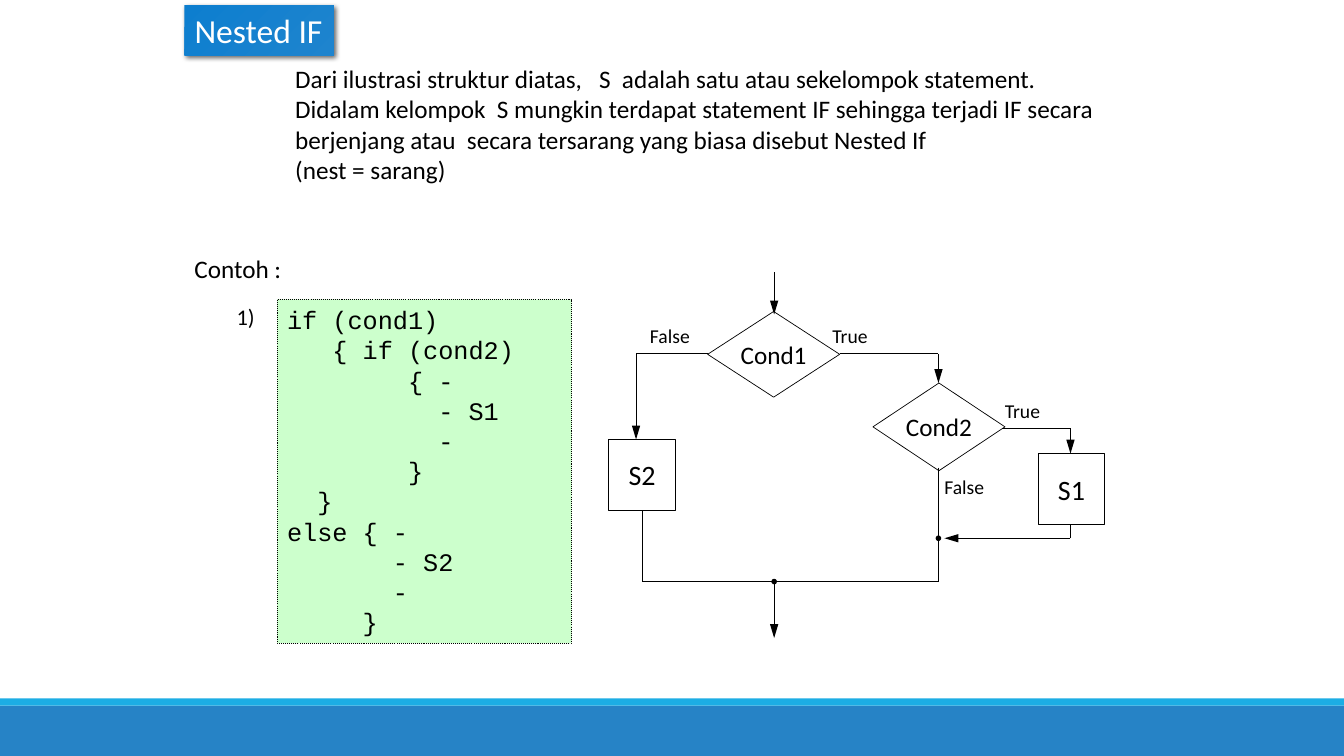
import pptx
import pptx.dml.color
import pptx.enum.dml
import pptx.enum.shapes
import pptx.enum.text
import pptx.oxml
import pptx.oxml.ns
import pptx.util
from lxml import etree

# The slide is a grid of square cells, 75 rows high
COLUMNS, ROWS = 133.33, 75
CELL = 0.1
CODE_CHAR = 0.15  # width in inches of one code character at 18 pt
BLACK, WHITE = "000000", "FFFFFF"
SHAPES = pptx.enum.shapes.MSO_SHAPE
ALIGN = pptx.enum.text.PP_ALIGN
ANCHOR = pptx.enum.text.MSO_ANCHOR
ARROW = {"type": "triangle", "w": "med", "len": "lg"}
DOT = {"type": "oval", "w": "sm", "len": "sm"}

CODE = [(0, "if (cond1)"), (3, "{ if (cond2)"), (8, "{ -"), (10, "- S1"),
        (10, "-"), (8, "}"), (2, "}"), (0, "else { -"), (7, "- S2"),
        (7, "-"), (5, "}")]
INTRO = [
    (0, "Dari ilustrasi struktur diatas,   S  adalah satu atau sekelompok "
        "statement. Didalam kelompok  S mungkin terdapat statement IF "
        "sehingga terjadi IF secara berjenjang atau  secara tersarang yang "
        "biasa disebut Nested If"),
    (0, "(nest = sarang)")]


def grid(*cells):
    return [pptx.util.Inches(cell * CELL) for cell in cells]


def paint(color_format, color):
    color_format.rgb = pptx.dml.color.RGBColor.from_string(color)


def write(box, text, size=18, font="Calibri", color=BLACK, align=ALIGN.LEFT,
          anchor=ANCHOR.TOP, wrap=False, grow=True):
    """Fill a box with one string, or with (indent, string) lines."""
    frame = box.text_frame
    frame.word_wrap = wrap
    sizes = pptx.enum.text.MSO_AUTO_SIZE
    frame.auto_size = sizes.SHAPE_TO_FIT_TEXT if grow else sizes.NONE
    frame.vertical_anchor = anchor
    lines = [(0, text)] if isinstance(text, str) else text
    for number, (indent, line) in enumerate(lines):
        para = frame.add_paragraph() if number else frame.paragraphs[0]
        para.alignment = align
        if indent:
            margin = pptx.util.Inches(indent * CODE_CHAR)
            para._p.get_or_add_pPr().set("marL", str(margin))
        span = para.add_run()
        span.text = line
        span.font.name = font
        span.font.size = pptx.util.Pt(size)
        paint(span.font.color, color)


def add_label(page, place, text, **style):
    write(page.shapes.add_textbox(*grid(*place)), text, **style)


def add_block(page, kind, place, fill=None, line=None, width=0.5):
    block = page.shapes.add_shape(kind, *grid(*place))
    block.shadow.inherit = False
    if fill:
        block.fill.solid()
        paint(block.fill.fore_color, fill)
    else:
        block.fill.background()
    if line:
        paint(block.line.color, line)
        block.line.width = pptx.util.Pt(width)
    else:
        block.line.fill.background()
    return block


def add_node(page, kind, place, text, size):
    node = add_block(page, kind, place, line=BLACK)
    write(node, text, size=size, align=ALIGN.CENTER, anchor=ANCHOR.MIDDLE,
          grow=False)


def add_route(page, points, head=None, tail=None):
    """Join the points by straight lines, with optional end marks."""
    last = len(points) - 2
    for number, (start, end) in enumerate(zip(points, points[1:])):
        line = page.shapes.add_connector(
            pptx.enum.shapes.MSO_CONNECTOR.STRAIGHT, *grid(*start, *end))
        paint(line.line.color, BLACK)
        line.line.width = pptx.util.Pt(0.5)
        stroke = line.line._get_or_add_ln()
        marks = (("a:headEnd", head if number == 0 else None),
                 ("a:tailEnd", tail if number == last else None))
        for tag, mark in marks:
            if mark:
                etree.SubElement(stroke, pptx.oxml.ns.qn(tag), mark)
        etree.SubElement(line._element.spPr, pptx.oxml.ns.qn("a:effectLst"))


def add_title(page, place, text):
    title = page.shapes.title
    title.left, title.top, title.width, title.height = grid(*place)
    title.fill.gradient()
    title.fill.gradient_angle = 315
    for stop, color in zip(title.fill.gradient_stops, ("0D7ECF", "1E84CE")):
        paint(stop.color, color)
    # A fixed size keeps the box from growing to the layout's title height
    write(title, text, size=24, color=WHITE, grow=False)
    title._element.spPr.append(pptx.oxml.parse_xml(
        f'<a:effectLst {pptx.oxml.ns.nsdecls("a")}>'
        '<a:outerShdw blurRad="44450" dist="25400" dir="2700000">'
        f'<a:srgbClr val="{BLACK}"><a:alpha val="60000"/></a:srgbClr>'
        '</a:outerShdw></a:effectLst>'))


def add_flowchart(page):
    # Shared columns and rows of the flow
    left, middle, inner, right = 63.7, 76.8, 93.1, 106.2
    first, second, merge, bottom = 35.1, 42.5, 53.4, 57.7

    # Conditions and statements
    diamond, square = SHAPES.FLOWCHART_DECISION, SHAPES.RECTANGLE
    add_node(page, diamond, (70.2, 30.9, 13.1, 8.5), "Cond1", 18)
    add_node(page, diamond, (86.6, 38, 13.1, 8.7), "Cond2", 18)
    add_node(page, square, (60.4, 43.6, 6.6, 7), "S2", 20)
    add_node(page, square, (103, 45, 6.6, 7), "S1", 20)

    # Branches
    add_route(page, [(middle, 27), (middle, 31.2)], tail=ARROW)
    add_route(page, [(83.3, first), (inner, first), (inner, 38)], tail=ARROW)
    add_route(page, [(99.5, second), (right, second), (right, 45)],
              tail=ARROW)
    add_route(page, [(70.2, first), (63.1, first), (63.1, 43.6)], tail=ARROW)

    # Merging back to the exit
    add_route(page, [(right, 52), (right, merge), (93.7, merge)], tail=ARROW)
    add_route(page, [(inner, 46.4), (inner, merge)])
    add_route(page, [(inner, merge), (inner, bottom)], head=DOT)
    add_route(page, [(left, 50.6), (left, bottom), (inner, bottom)])
    add_route(page, [(middle, bottom), (middle, 63.3)], head=DOT, tail=ARROW)

    # Branch names
    for column, row, text in ((81.6, 31.6, "True"), (98.7, 39.1, "True"),
                              (63.5, 31.6, "False"), (92.7, 46.6, "False")):
        add_label(page, (column, row, 6, 3.4), text, size=14)


def main():
    deck = pptx.Presentation()
    deck.slide_width, deck.slide_height = grid(COLUMNS, ROWS)
    page = deck.slides.add_slide(deck.slide_layouts.get_by_name("Title Only"))

    # Footer bands
    add_block(page, SHAPES.RECTANGLE, (0, 70, COLUMNS, 5), fill="2683C6")
    add_block(page, SHAPES.RECTANGLE, (0, 69.3, COLUMNS, 0.7), fill="1CADE4")

    # Title and explanation
    add_title(page, (18.3, 0.5, 14.8, 5), "Nested IF")
    add_label(page, (28.3, 5.8, 84.2, 13.1), INTRO, wrap=True)

    # Code example
    add_label(page, (18.3, 24.6, 10.8, 4), "Contoh :")
    add_label(page, (22.5, 29.6, 4, 3.7), "1)", size=16)
    listing = add_block(page, SHAPES.RECTANGLE, (27.5, 29.7, 29.2, 34.1),
                        fill="CCFFCC", line=BLACK, width=0.75)
    listing.line.dash_style = pptx.enum.dml.MSO_LINE.ROUND_DOT
    write(listing, CODE, font="Courier New", wrap=True)

    add_flowchart(page)
    deck.save("out.pptx")


if __name__ == "__main__":
    main()
